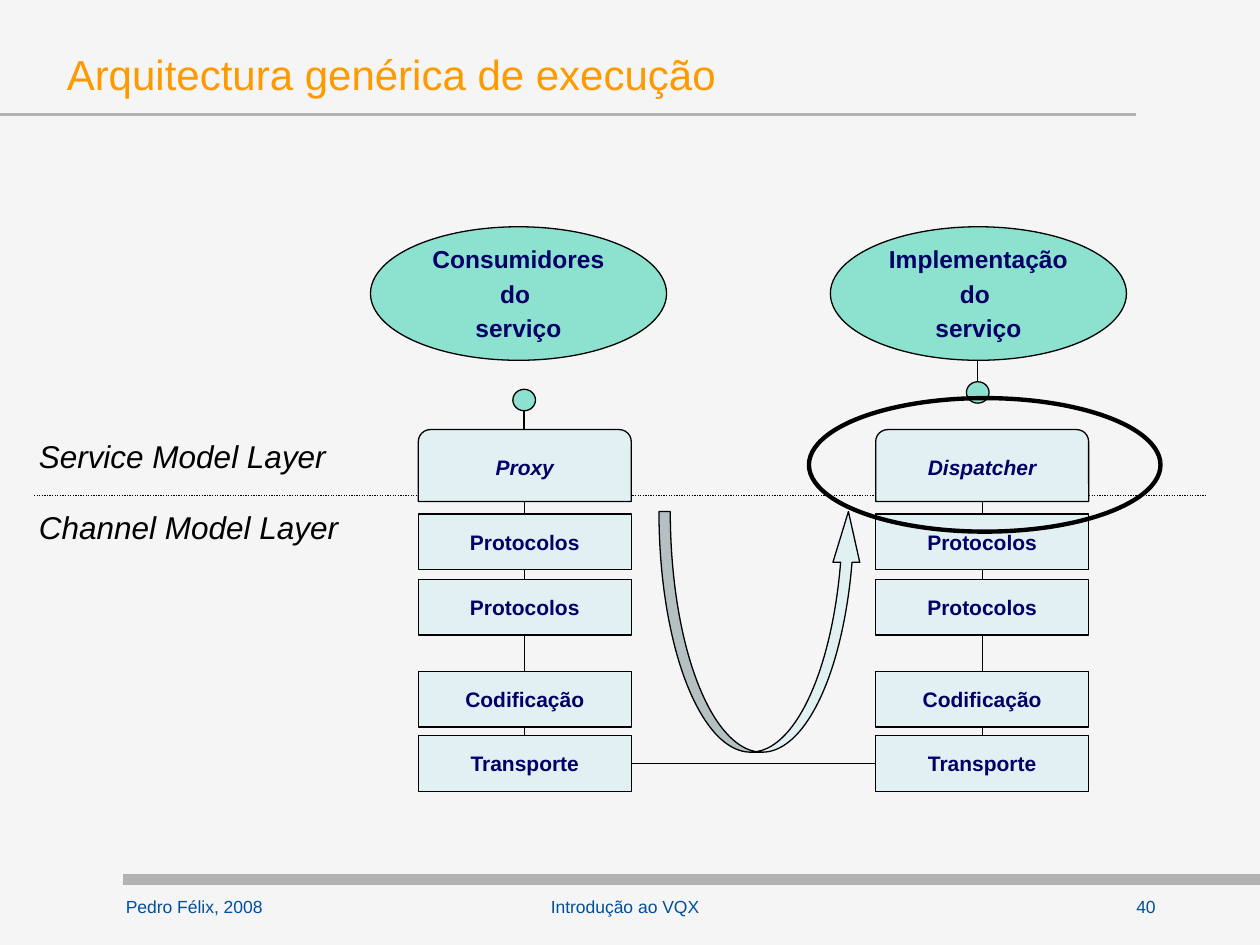
from itertools import pairwise
from pptx import Presentation
from pptx.dml.color import RGBColor
from pptx.enum.dml import MSO_LINE
from pptx.enum.shapes import MSO_CONNECTOR, MSO_SHAPE
from pptx.enum.text import MSO_ANCHOR, PP_ALIGN
from pptx.oxml.ns import qn
from pptx.util import Inches, Pt

COLORS = {"back": "F5F5F5", "title": "FF9900", "rule": "B2B2B2", "foot": "004F9E",
          "box": "E1F1F3", "oval": "8CE1CF", "ink": "000066", "black": "000000"}
TITLE = "Arquitectura genérica de execução"
FOOTER = [("Pedro Félix, 2008", 0.9, 1.31, PP_ALIGN.LEFT),
          ("40", 8.7, 0.79, PP_ALIGN.CENTER),
          ("Introdução ao VQX", 2.48, 4.96, PP_ALIGN.CENTER)]
LAYERS = [("Service Model Layer", 3.42), ("Channel Model Layer", 3.98)]
STACK = [("Protocolos", 4.08), ("Protocolos", 4.6),
         ("Codificação", 5.33), ("Transporte", 5.84)]
SIDES = [
    {"left": 3.32, "head": "Proxy", "oval": 2.94, "dot": (4.16, 3.09),
     "text": "Consumidores\ndo \nserviço", "link": (3.26, 3.41)},
    {"left": 6.95, "head": "Dispatcher", "oval": 6.59, "dot": (7.76, 3.03),
     "text": "Implementação\ndo \nserviço", "link": (2.86, 3.03)},
]
WIDTH, HIGH, HEAD_TOP, HEAD_HIGH, DOT = 1.69, 0.44, 3.41, 0.57, 0.18


def color(name):
    return RGBColor.from_string(COLORS[name])


def write(frame, text, size=12, ink="ink", bold=False, italic=False,
          align=PP_ALIGN.CENTER, anchor=MSO_ANCHOR.MIDDLE, wrap=False, gap=3):
    frame.word_wrap, frame.vertical_anchor = wrap, anchor
    for i, line in enumerate(text.split("\n")):
        para = frame.add_paragraph() if i else frame.paragraphs[0]
        para.alignment = align
        para.space_before = Pt(gap if i else 0)
        run = para.add_run()
        run.text = line
        font = run.font
        font.name, font.size = "Arial", Pt(size)
        font.bold, font.italic = bold, italic
        font.color.rgb = color(ink)


def draw(kind, *place, fill=None, width=0.75):
    shape = slide.shapes.add_shape(kind, *map(Inches, place))
    shape.shadow.inherit = False
    if fill:
        shape.fill.solid()
        shape.fill.fore_color.rgb = color(fill)
    else:
        shape.fill.background()
    shape.line.color.rgb = color("black")
    shape.line.width = Pt(width)
    return shape


def rule(*ends, ink="black", width=0.75, dash=None):
    line = slide.shapes.add_connector(MSO_CONNECTOR.STRAIGHT, *map(Inches, ends))
    line.line.color.rgb = color(ink)
    line.line.width = Pt(width)
    if dash:
        line.line.dash_style = dash
    props = line._element.spPr
    props.append(props.makeelement(qn("a:effectLst"), {}))
    return line


def label(text, *place, **form):
    box = slide.shapes.add_textbox(*map(Inches, place))
    write(box.text_frame, text, anchor=MSO_ANCHOR.TOP, **form)


def join(start, a, end, b):
    line = rule(0, 0, 1, 1)
    line.begin_connect(start, a)
    line.end_connect(end, b)


deck = Presentation()
deck.slide_width, deck.slide_height = Inches(10), Inches(7.5)
slide = deck.slides.add_slide(deck.slide_layouts[5])
slide.background.fill.solid()
slide.background.fill.fore_color.rgb = color("back")

rule(0.98, 6.98, 10, 6.98, ink="rule", width=6)
rule(0, 0.91, 9.02, 0.91, ink="rule", width=1.5)
title = slide.shapes.title
title.left, title.top, title.width, title.height = map(Inches, (0.43, 0.28, 8.98, 0.61))
write(title.text_frame, TITLE, size=24, ink="title", align=PP_ALIGN.LEFT, wrap=True)
for text, left, width, align in FOOTER:
    label(text, left, 7.06, width, 0.32, size=10, ink="foot", align=align, wrap=True)

# Channel stacks, joined box to box and across at the transport level
ends = []
for side in SIDES:
    boxes = []
    for text, top in STACK:
        box = draw(MSO_SHAPE.RECTANGLE, side["left"], top, WIDTH, HIGH, fill="box")
        write(box.text_frame, text, bold=True)
        boxes.append(box)
    for upper, lower in pairwise(boxes):
        join(upper, 2, lower, 0)
    mid = side["left"] + WIDTH / 2
    rule(mid, HEAD_TOP + HEAD_HIGH, mid, STACK[0][1]).end_connect(boxes[0], 0)
    ends.append(boxes[-1])
join(ends[0], 3, ends[1], 1)

rule(0.27, 3.93, 9.58, 3.93, dash=MSO_LINE.ROUND_DOT)
for text, top in LAYERS:
    label(text, 0.21, top, 2.6, 0.4, size=18, ink="black", italic=True,
          align=PP_ALIGN.LEFT)

# Service model parts above the layer line
for side in SIDES:
    head = draw(MSO_SHAPE.ROUND_2_SAME_RECTANGLE, side["left"], HEAD_TOP,
                WIDTH, HEAD_HIGH, fill="box")
    write(head.text_frame, side["head"], bold=True, italic=True)
    oval = draw(MSO_SHAPE.OVAL, side["oval"], 1.8, 2.35, 1.06, fill="oval")
    write(oval.text_frame, side["text"], size=14, bold=True)
    mid, top = side["dot"]
    draw(MSO_SHAPE.OVAL, mid - DOT / 2, top, DOT, 0.17, fill="oval")
    start, stop = side["link"]
    rule(mid, start, mid, stop)

arrow = draw(MSO_SHAPE.CURVED_UP_ARROW, 5.23, 4.06, 1.61, 1.91, fill="box")
for i, value in enumerate((0.056, 0.132, 0.25)):
    arrow.adjustments[i] = value
draw(MSO_SHAPE.OVAL, 6.42, 3.16, 2.79, 1.06, width=2.5)

deck.save("out.pptx")
